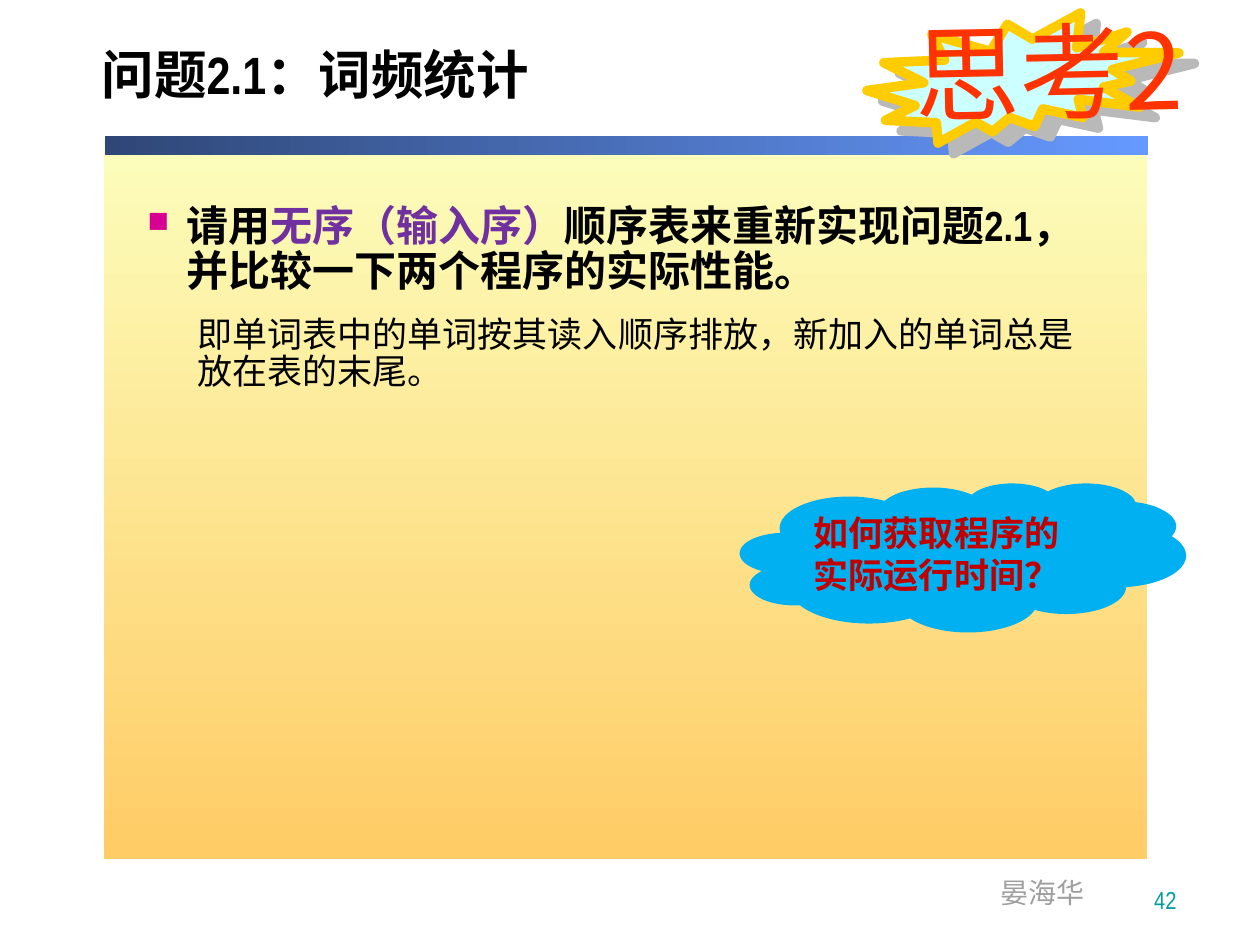
"""Builds the exercise slide on word frequency counting with an unordered list."""
from dataclasses import dataclass

from lxml import etree
from pptx import Presentation, util as u
from pptx.dml.color import RGBColor
from pptx.enum import shapes, text
from pptx.oxml import parse_xml
from pptx.oxml.ns import nsdecls, qn

PX = 914400 // 126


@dataclass(frozen=True)
class Theme:
    latin: str = "Arial Narrow"
    plain: str = "Arial"
    cjk: str = "Noto Sans CJK SC"
    display: str = "Noto Sans CJK JP"
    ink: str = "000000"
    accent: str = "7030A0"
    bullet: str = "D60093"
    muted: str = "9F9F9F"
    number: str = "009EA1"
    panel: tuple = ("FCFEBC", "FFCC66")
    bar: tuple = ("2F4777", "6699FF")
    burst: str = "CCFFFF"
    burst_line: str = "FFCC00"
    burst_shadow: str = "B9B9B9"
    burst_text: str = "FF3300"
    cloud: str = "00B0F0"
    cloud_text: str = "C00000"
    title_size: int = 30
    body_size: int = 24
    sub_size: int = 20
    footer_size: int = 16
    number_size: int = 14
    burst_size: int = 60


T = Theme()


def rgb(value):
    return RGBColor.from_string(value)


def box(*lengths):
    return [u.Emu(n * PX) for n in lengths]


def add_run(p, words, size, color, bold=False, latin=T.latin, cjk=T.cjk):
    r = p.add_run()
    r.text = words
    f = r.font
    f.size, f.bold, f.name = u.Pt(size), bold, latin
    f.color.rgb = rgb(color)
    ea = etree.SubElement(r._r.get_or_add_rPr(), qn("a:ea"))
    ea.set("typeface", cjk)


def add_shape(s, kind, at, fill):
    sp = s.shapes.add_shape(kind, *box(*at))
    sp.shadow.inherit = False
    sp.line.fill.background()
    sp.fill.solid()
    sp.fill.fore_color.rgb = rgb(fill)
    return sp


def add_gradient(s, at, colors, angle):
    sp = add_shape(s, shapes.MSO_SHAPE.RECTANGLE, at, colors[0])
    sp.fill.gradient()
    sp.fill.gradient_angle = angle
    for stop, color in zip(sp.fill.gradient_stops, colors):
        stop.color.rgb = rgb(color)


def add_text(s, at, wrap=True, anchor=text.MSO_ANCHOR.TOP):
    sp = s.shapes.add_textbox(*box(*at))
    tf = sp.text_frame
    tf.word_wrap, tf.vertical_anchor = wrap, anchor
    return sp, tf.paragraphs[0]


def set_indent(p, left, hanging=0):
    pPr = p._p.get_or_add_pPr()
    pPr.set("marL", str(left * PX))
    pPr.set("indent", str(-hanging * PX))
    return pPr


def add_bullet(pPr, mark, color, percent):
    ns = nsdecls("a")
    for xml in (f'<a:buClr {ns}><a:srgbClr val="{color}"/></a:buClr>',
                f'<a:buSzPct {ns} val="{percent * 1000}"/>',
                f'<a:buChar {ns} char="{mark}"/>'):
        pPr.append(parse_xml(xml))


def add_title(s):
    sp = s.shapes.title
    sp.left, sp.top, sp.width, sp.height = box(89, 21, 1129, 116)
    tf = sp.text_frame
    tf.auto_size = text.MSO_AUTO_SIZE.NONE
    tf.vertical_anchor = text.MSO_ANCHOR.MIDDLE
    p = tf.paragraphs[0]
    p.alignment, p.line_spacing = text.PP_ALIGN.LEFT, 0.8
    add_run(p, "问题2.1：词频统计", T.title_size, T.ink, True)


def add_body(s):
    sp, p = add_text(s, (135, 199, 979, 627))
    p.line_spacing = 0.9
    add_bullet(set_indent(p, 39, 39), "■", T.bullet, 70)
    for words, color in (("请用", T.ink), ("无序（输入序）", T.accent),
                         ("顺序表来重新实现问题2.1，并比较一下两个程序的实际性能。", T.ink)):
        add_run(p, words, T.body_size, color, True)
    p = sp.text_frame.add_paragraph()
    p.line_spacing, p.space_before = 0.9, u.Pt(12)
    set_indent(p, 50)
    add_run(p, "即单词表中的单词按其读入顺序排放，新加入的单词总是放在表的末尾。",
            T.sub_size, T.ink, latin=T.cjk)


def add_footer(s):
    sp, p = add_text(s, (988, 869, 110, 47), wrap=False)
    add_run(p, "晏海华", T.footer_size, T.muted)
    sp, p = add_text(s, (927, 858, 262, 63), anchor=text.MSO_ANCHOR.BOTTOM)
    p.alignment = text.PP_ALIGN.RIGHT
    add_run(p, "42", T.number_size, T.number)


def add_burst(s):
    sp = add_shape(s, shapes.MSO_SHAPE.EXPLOSION2, (867, 13, 312, 130), T.burst)
    sp.line.color.rgb = rgb(T.burst_line)
    sp.line.width = u.Pt(5.5)
    effects = sp._element.spPr.find(qn("a:effectLst"))
    effects.append(parse_xml(
        f'<a:outerShdw {nsdecls("a")} dist="{u.Pt(10.8)}" dir="{34 * 60000}" algn="ctr" '
        f'rotWithShape="0"><a:srgbClr val="{T.burst_shadow}"/></a:outerShdw>'))
    sp, p = add_text(s, (902, 0, 358, 139))
    sp.rotation = 358.9
    add_run(p, "思考2", T.burst_size, T.burst_text, latin=T.display, cjk=T.display)


def add_cloud(s):
    sp = add_shape(s, shapes.MSO_SHAPE.CLOUD, (740, 483, 446, 149), T.cloud)
    tf = sp.text_frame
    tf.word_wrap, tf.vertical_anchor = True, text.MSO_ANCHOR.TOP
    p = tf.paragraphs[0]
    p.alignment = text.PP_ALIGN.LEFT
    add_run(p, "如何获取程序的实际运行时间？", T.sub_size, T.cloud_text, True, T.plain)


def main():
    prs = Presentation()
    prs.slide_width, prs.slide_height = u.Inches(10), u.Inches(7.5)
    s = prs.slides.add_slide(prs.slide_layouts[5])
    add_gradient(s, (104, 139, 1043, 720), T.panel, 270)
    add_gradient(s, (105, 136, 1043, 19), T.bar, 0)
    add_title(s)
    add_body(s)
    add_footer(s)
    add_burst(s)
    add_cloud(s)
    prs.save("out.pptx")


if __name__ == "__main__":
    main()
